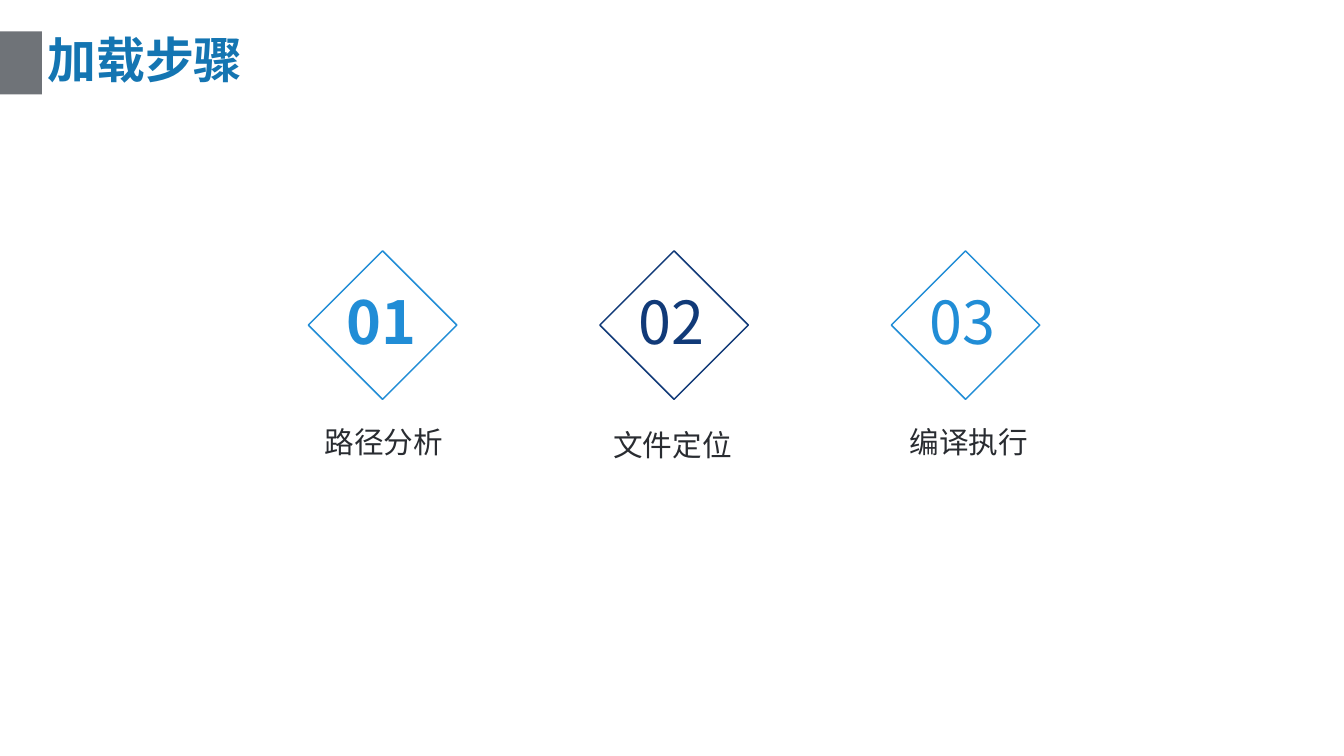
from pptx import Presentation
from pptx.util import Cm, Pt
from pptx.dml.color import RGBColor
from pptx.enum import shapes, text
from pptx.oxml.ns import qn
from lxml import etree

FONT = "Noto Sans CJK SC"
GREY = RGBColor(0x6F, 0x73, 0x78)
TITLE = RGBColor(0x14, 0x75, 0xB2)
INK = RGBColor(0x29, 0x2C, 0x31)
BLUE = RGBColor(0x21, 0x8D, 0xD6)
NAVY = RGBColor(0x11, 0x3A, 0x78)

deck = Presentation()
deck.slide_width, deck.slide_height = Cm(64), Cm(36)
slide = deck.slides.add_slide(deck.slide_layouts[6])


def add_text(words, left, top, width, height, size, color, bold, inset, anchor):
    box = slide.shapes.add_textbox(Cm(left), Cm(top), Cm(width), Cm(height))
    frame = box.text_frame
    frame.word_wrap = True
    frame.vertical_anchor = anchor
    frame.margin_left = frame.margin_right = Cm(inset)
    frame.margin_top = frame.margin_bottom = Cm(min(inset, 0.18))
    frame.text = words
    line = frame.paragraphs[0]
    line.line_spacing = 0.9
    font = line.runs[0].font
    font.name, font.size, font.bold = FONT, Pt(size), bold
    font.color.rgb = color
    east = etree.SubElement(line.runs[0]._r.rPr, qn("a:ea"))
    east.set("typeface", FONT)


def add_rect(left, top, width, height):
    rect = slide.shapes.add_shape(
        shapes.MSO_SHAPE.RECTANGLE, Cm(left), Cm(top), Cm(width), Cm(height))
    rect.shadow.inherit = False
    return rect


TOP, MIDDLE = text.MSO_ANCHOR.TOP, text.MSO_ANCHOR.MIDDLE

bar = add_rect(0, 1.5, 2, 3)
bar.fill.solid()
bar.fill.fore_color.rgb = GREY
bar.line.fill.background()
add_text("加载步骤", 2, 1.45, 60, 3.05, 66, TITLE, True, 0.25, MIDDLE)

steps = [
    ("路径分析", 15.32, 20.24, BLUE, True),
    ("文件定位", 29.08, 20.4, NAVY, False),
    ("编译执行", 43.18, 20.24, BLUE, False),
]
START, PITCH, SIDE = 15.72, 13.88, 5

for i, (label, left, top, color, bold) in enumerate(steps):
    x = START + i * PITCH
    add_text(label, left, top, 6.78, 1.96, 40, INK, False, 0.13, TOP)
    add_text(f"{i + 1:02}", x + 0.61, 13.59, 3.78, 3.81, 80, color, bold, 0.18, MIDDLE)
    diamond = add_rect(x, 12.98, SIDE, SIDE)
    diamond.rotation = 315
    diamond.fill.background()
    diamond.line.color.rgb = color
    diamond.line.width = Pt(2)

deck.save("out.pptx")
